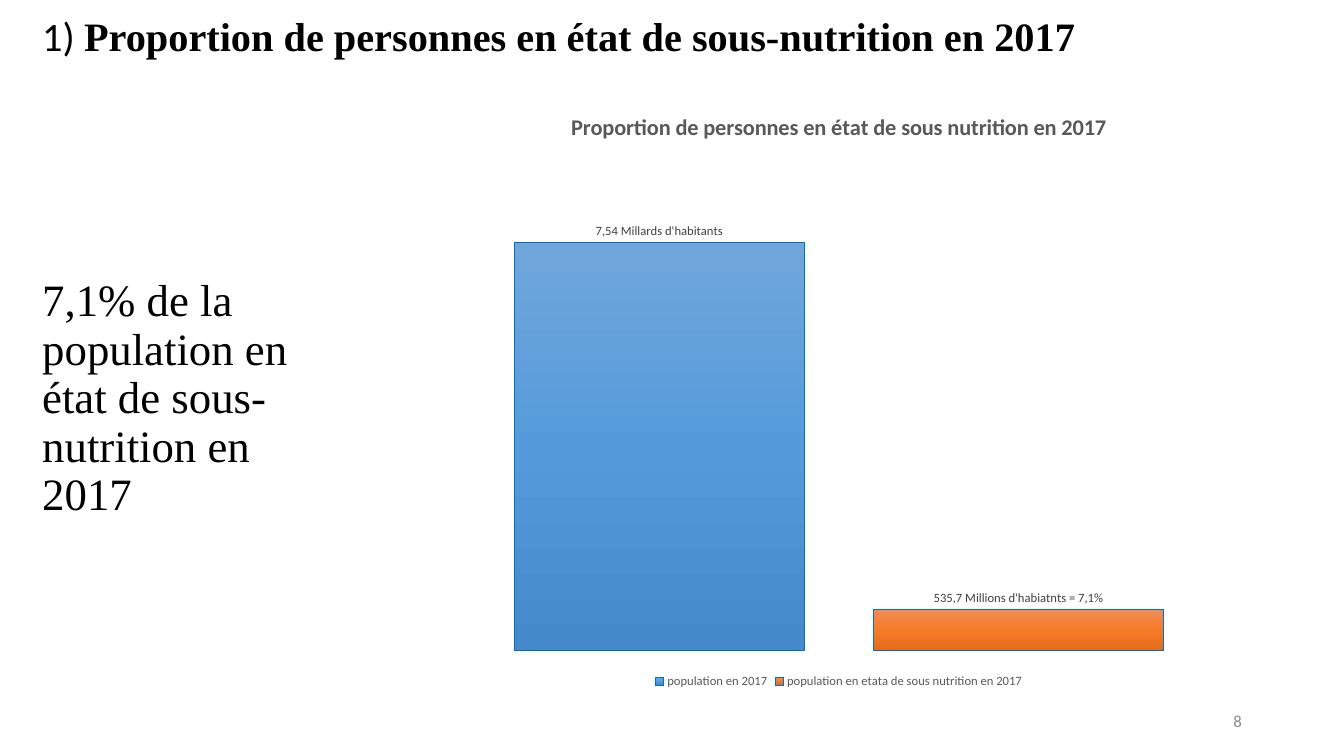
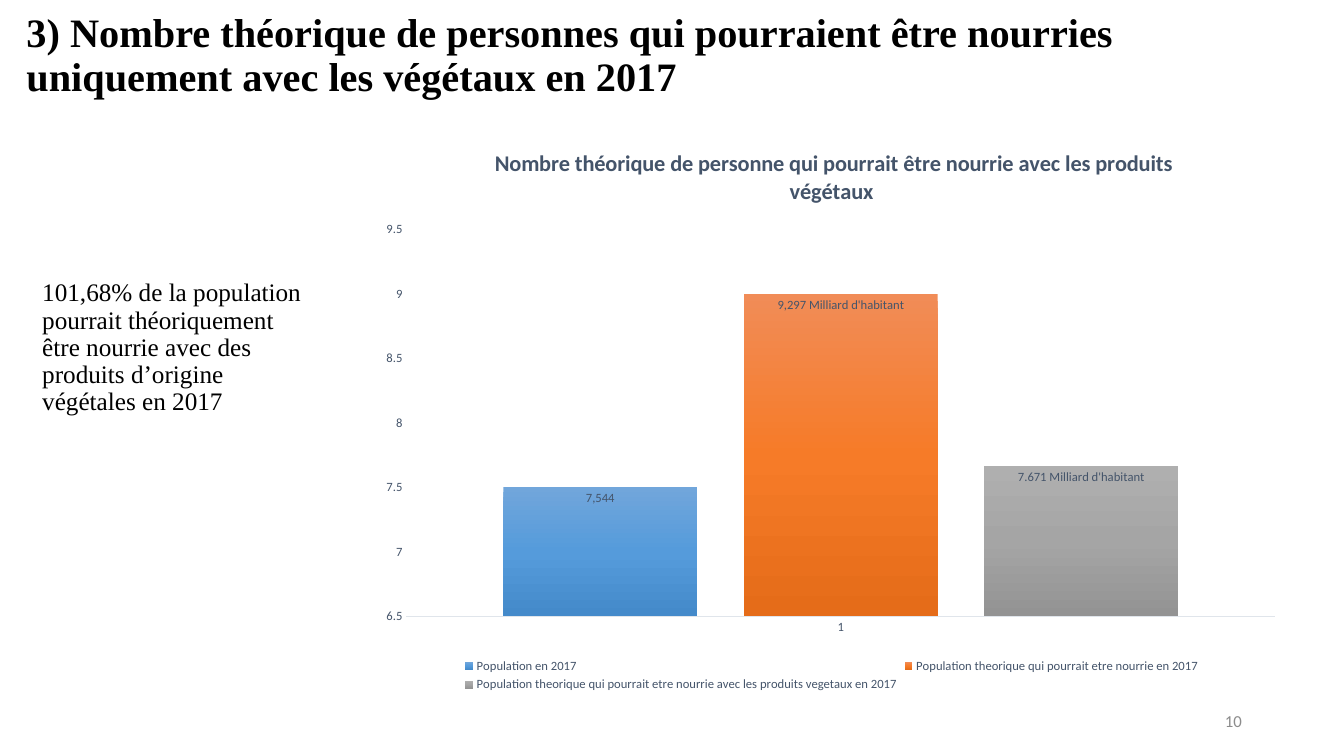
import lxml.etree
import pptx
import pptx.chart.data
import pptx.dml.color
import pptx.enum.chart
import pptx.enum.text
import pptx.oxml.ns
import pptx.util

Cm = pptx.util.Cm
Pt = pptx.util.Pt
qn = pptx.oxml.ns.qn

SERIF = "Times New Roman"
SANS = "Calibri"
BLACK = "000000"
SLATE = "44546A"
GREY = "595959"
NUMBER_GREY = "8C8C8C"
BLUE_GRADIENT = ("71A6DB", "559BDB", "448ACA")
ORANGE_GRADIENT = ("F18C57", "F67B28", "E56C19")
GREY_GRADIENT = ("AFAFAF", "A5A5A5", "939393")
GRADIENTS = (BLUE_GRADIENT, ORANGE_GRADIENT, GREY_GRADIENT)


def color(value):
    return pptx.dml.color.RGBColor.from_string(value)


def style_font(font, name, size, value, bold=False):
    font.name = name
    font.size = Pt(size)
    font.bold = bold
    font.color.rgb = color(value)


def move(shape, place):
    shape.left, shape.top, shape.width, shape.height = map(Cm, place)


def add_title(page, place, text, prefix="", bottom_inset=0.13):
    title = page.shapes.title
    move(title, place)
    frame = title.text_frame
    frame.auto_size = pptx.enum.text.MSO_AUTO_SIZE.NONE
    frame.vertical_anchor = pptx.enum.text.MSO_ANCHOR.BOTTOM
    frame.margin_bottom = Cm(bottom_inset)
    para = frame.paragraphs[0]
    para.text = prefix
    para.alignment = pptx.enum.text.PP_ALIGN.LEFT
    para.line_spacing = 0.9
    for span in para.runs:
        style_font(span.font, SANS, 28.8, BLACK)
    span = para.add_run()
    span.text = text
    style_font(span.font, SERIF, 28.8, BLACK, bold=True)


def add_body(page, place, text, size):
    body = page.placeholders[1]
    move(body, place)
    frame = body.text_frame
    frame.text = text
    frame.auto_size = pptx.enum.text.MSO_AUTO_SIZE.NONE
    para = frame.paragraphs[0]
    para.alignment = pptx.enum.text.PP_ALIGN.LEFT
    para.line_spacing = 0.9
    para.space_before = Pt(10)
    properties = para._p.get_or_add_pPr()
    properties.set("marL", "0")
    properties.set("indent", "0")
    lxml.etree.SubElement(properties, qn("a:buNone"))
    style_font(para.runs[0].font, SERIF, size, BLACK)


def add_page_number(page, number):
    box = page.shapes.add_textbox(Cm(23.93), Cm(17.65), Cm(7.62), Cm(1.02))
    frame = box.text_frame
    frame.word_wrap = True
    frame.vertical_anchor = pptx.enum.text.MSO_ANCHOR.MIDDLE
    frame.text = str(number)
    para = frame.paragraphs[0]
    para.alignment = pptx.enum.text.PP_ALIGN.RIGHT
    style_font(para.runs[0].font, SANS, 12, NUMBER_GREY)


def fill_gradient(series, stops):
    fill = series.format.fill
    fill.gradient()
    fill.gradient_angle = 270
    stop_list = next(series._element.iter(qn("a:gsLst")))
    for stop in list(stop_list):
        stop_list.remove(stop)
    for position, value in zip((0, 50000, 100000), stops):
        stop = lxml.etree.SubElement(stop_list, qn("a:gs"), pos=str(position))
        lxml.etree.SubElement(stop, qn("a:srgbClr"), val=value)


def label_series(series, text, position, value):
    label = series.points[0].data_label
    label.text_frame.text = text
    style_font(label.text_frame.paragraphs[0].runs[0].font, SANS, 9, value)
    label.position = position


def place_plot(chart, x, y, w, h):
    area = chart._chartSpace.chart.plotArea
    for old in area.findall(qn("c:layout")):
        area.remove(old)
    layout = lxml.etree.Element(qn("c:layout"))
    area.insert(0, layout)
    manual = lxml.etree.SubElement(layout, qn("c:manualLayout"))
    settings = {"layoutTarget": "inner", "xMode": "edge", "yMode": "edge",
                "x": x, "y": y, "w": w, "h": h}
    for name, value in settings.items():
        lxml.etree.SubElement(manual, qn("c:" + name), val=str(value))


def style_axes(chart, low, high, step, visible):
    category_axis, value_axis = chart.category_axis, chart.value_axis
    value_axis.minimum_scale = low
    value_axis.maximum_scale = high
    value_axis.major_unit = step
    for axis in (category_axis, value_axis):
        axis.visible = visible
        axis.has_major_gridlines = False
        axis.major_tick_mark = pptx.enum.chart.XL_TICK_MARK.NONE
        style_font(axis.tick_labels.font, SANS, 9, SLATE)
    category_axis.format.line.color.rgb = color("E0E5EB")
    category_axis.format.line.width = Pt(0.75)
    value_axis.format.line.fill.background()


def add_column_chart(page, place, title, rows, text_color, label_color,
                     label_position, outline=None):
    data = pptx.chart.data.CategoryChartData()
    data.categories = ["1"]
    for name, value, label in rows:
        data.add_series(name, [value])
    chart = page.shapes.add_chart(
        pptx.enum.chart.XL_CHART_TYPE.COLUMN_CLUSTERED, *map(Cm, place), data).chart
    style_font(chart.font, SANS, 10, BLACK)
    chart.has_title = True
    chart.chart_title.text_frame.text = title
    heading = chart.chart_title.text_frame.paragraphs[0].runs[0]
    style_font(heading.font, SANS, 16, text_color, bold=True)
    chart.has_legend = True
    chart.legend.position = pptx.enum.chart.XL_LEGEND_POSITION.BOTTOM
    chart.legend.include_in_layout = False
    style_font(chart.legend.font, SANS, 9, text_color)
    plot = chart.plots[0]
    plot.vary_by_categories = False
    plot.gap_width = 100
    plot.overlap = -24
    for series, stops, row in zip(plot.series, GRADIENTS, rows):
        fill_gradient(series, stops)
        label_series(series, row[2], label_position, label_color)
        if outline:
            series.format.line.color.rgb = color(outline)
            series.format.line.width = Pt(0.75)
    return chart


def build_undernutrition(page):
    add_title(page, (0.81, 0.46, 27.2, 2.41),
              "Proportion de personnes en état de sous-nutrition en 2017",
              prefix="1) ", bottom_inset=1.35)
    add_body(page, (0.81, 6.88, 8, 10.59),
             "7,1% de la population en état de sous-nutrition en 2017", 32)
    rows = [
        ("population en 2017", 100, "7,54 Millards d'habitants"),
        ("population en etata de sous nutrition en 2017", 10,
         "535,7 Millions d'habiatnts = 7,1%"),
    ]
    chart = add_column_chart(
        page, (8.82, 2.27, 24.64, 15.19),
        "Proportion de personnes en état de sous nutrition en 2017", rows,
        GREY, "404040", pptx.enum.chart.XL_LABEL_POSITION.OUTSIDE_END, "0070C0")
    style_axes(chart, 0, 121, 20, False)
    place_plot(chart, 0.02, 0.11, 0.96, 0.82)
    add_page_number(page, 8)


def build_plant_food(page):
    add_title(page, (0.41, 0.36, 32.49, 2.29),
              "3) Nombre théorique de personnes qui pourraient être nourries "
              "uniquement avec les végétaux en 2017")
    add_body(page, (0.81, 6.93, 7.24, 4.11),
             "101,68% de la population pourrait théoriquement être nourrie "
             "avec des produits d’origine végétales en 2017", 18)
    rows = [
        ("Population en 2017", 7.5, "7,544"),
        ("Population theorique qui pourrait etre nourrie en 2017", 9,
         "9,297 Milliard d'habitant"),
        ("Population theorique qui pourrait etre nourrie avec les produits "
         "vegetaux en 2017", 7.67, "7.671 Milliard d'habitant"),
    ]
    chart = add_column_chart(
        page, (9.31, 3.21, 23.29, 14.33),
        " Nombre théorique de personne qui pourrait être nourrie avec les "
        "produits végétaux", rows,
        SLATE, SLATE, pptx.enum.chart.XL_LABEL_POSITION.INSIDE_END)
    style_axes(chart, 6.5, 9.5, 0.5, True)
    place_plot(chart, 0.04, 0.18, 0.94, 0.68)
    add_page_number(page, 10)


def main():
    deck = pptx.Presentation()
    deck.slide_width = Cm(33.87)
    deck.slide_height = Cm(19.05)
    for build in (build_undernutrition, build_plant_food):
        build(deck.slides.add_slide(deck.slide_layouts[1]))
    deck.save("out.pptx")


if __name__ == "__main__":
    main()
